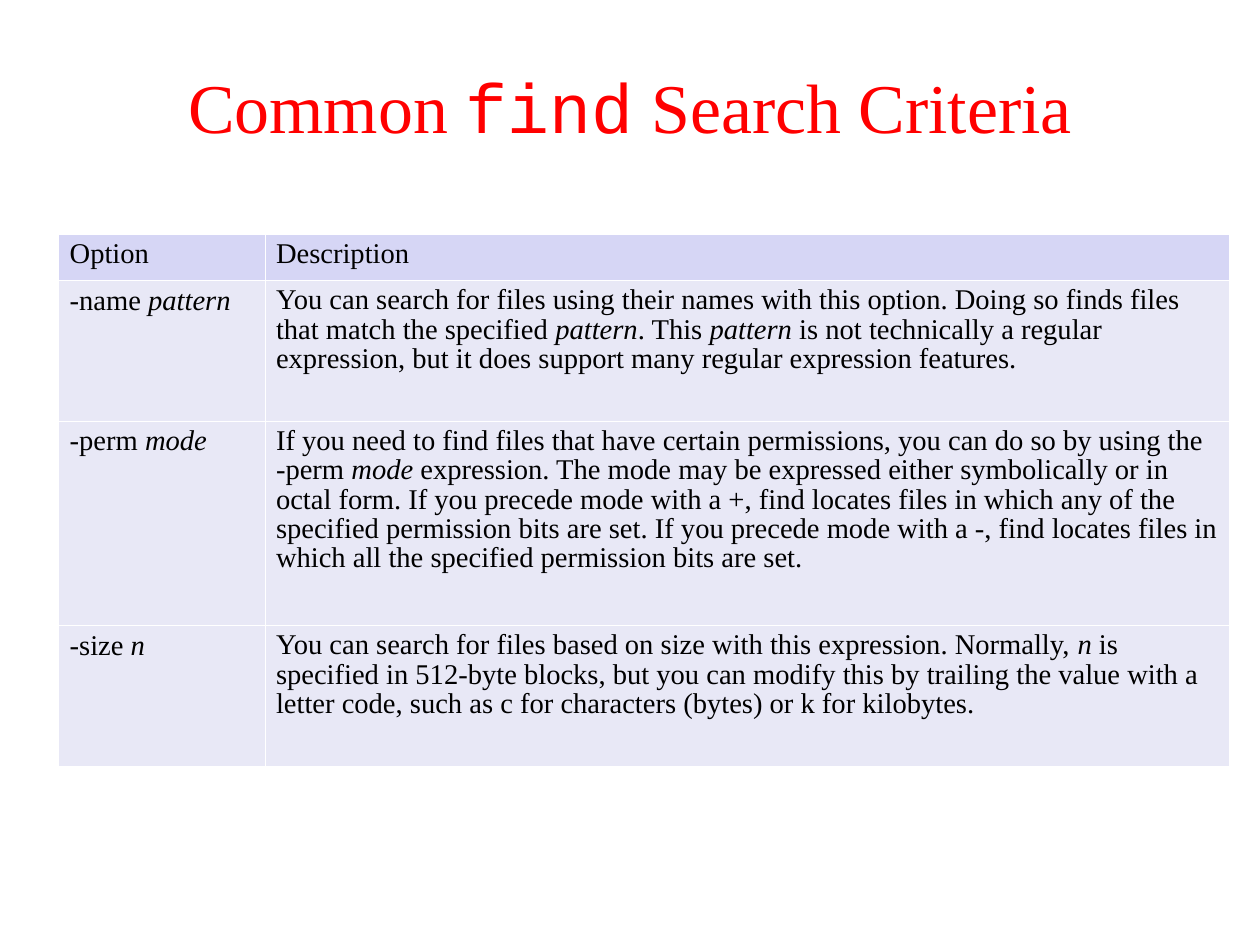
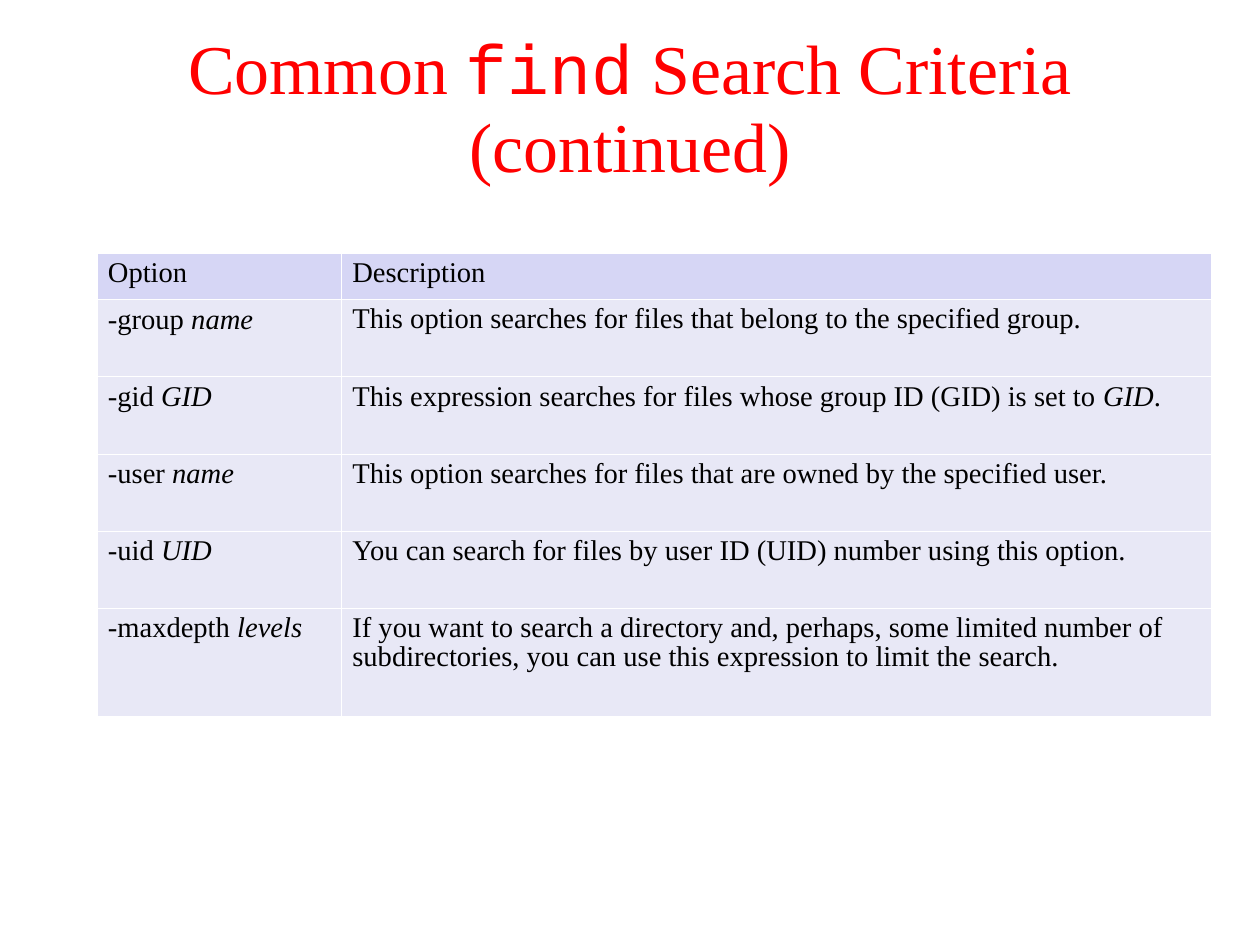
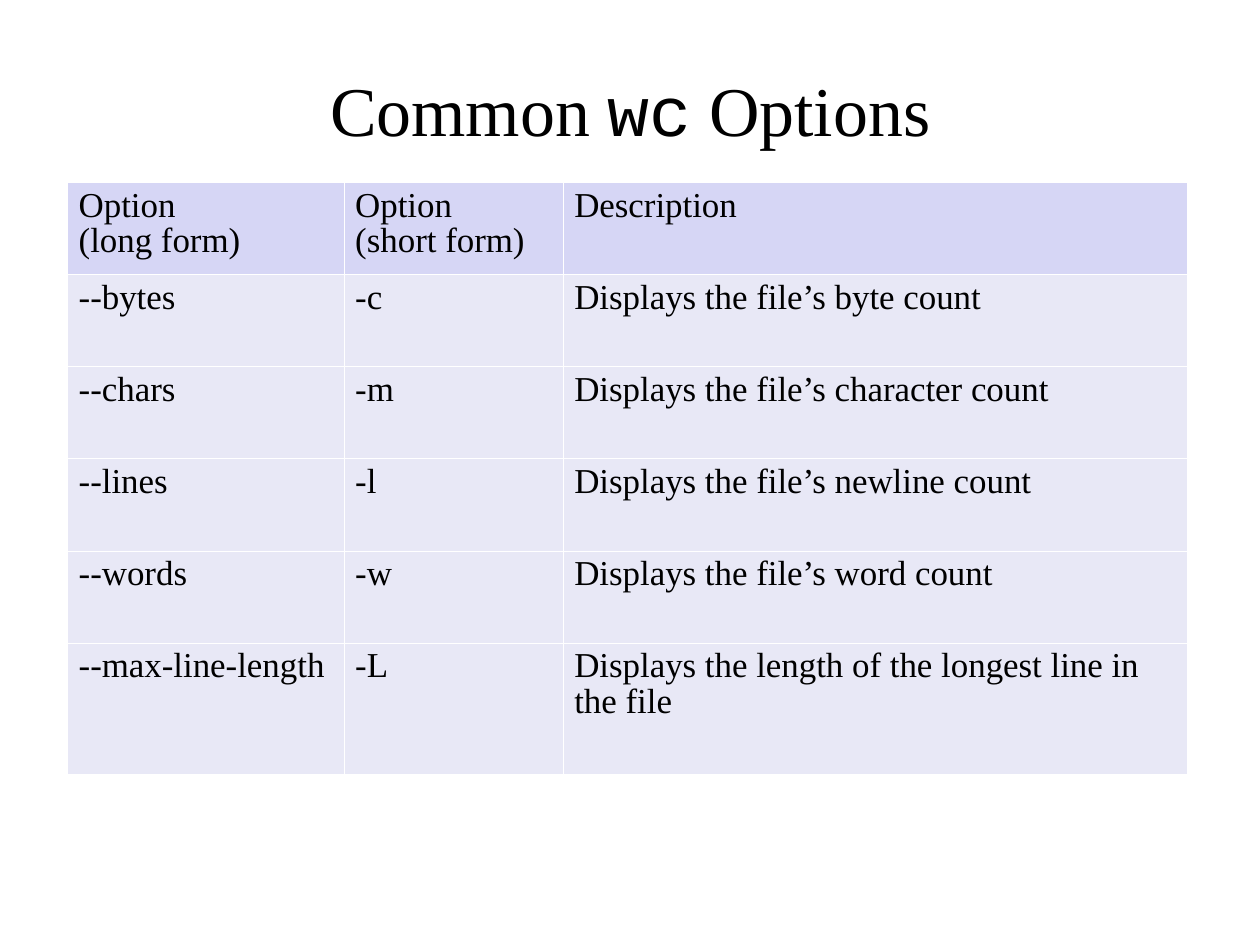
import pptx
import pptx.dml.color
import pptx.enum.text
import pptx.oxml
import pptx.oxml.ns
import pptx.util

Pt = pptx.util.Pt
COLORS = {
    "find": "FF0000",
    "text": "000000",
    "header": "D6D6F5",
    "body": "E8E8F6",
    "border": "FFFFFF",
}
BODY_FONT, CODE_FONT = "Times New Roman", "Courier New"
LINE_SPACING, OPTION_SPACING = 0.93, 0.94

FIND_HEADER = ("Option", "Description")
FIND_ROWS = [
    FIND_HEADER,
    ("-name |pattern|",
     "You can search for files using their names with this option. Doing so finds files "
     "that match the specified |pattern|. This |pattern| is not technically a regular "
     "expression, but it does support many regular expression features."),
    ("-perm |mode|",
     "If you need to find files that have certain permissions, you can do so by using the "
     "-perm |mode| expression. The mode may be expressed either symbolically or in octal "
     "form. If you precede mode with a +, find locates files in which any of the specified "
     "permission bits are set. If you precede mode with a -, find locates files in which "
     "all the specified permission bits are set."),
    ("-size |n|",
     "You can search for files based on size with this expression. Normally, |n| is "
     "specified in 512-byte blocks, but you can modify this by trailing the value with a "
     "letter code, such as c for characters (bytes) or k for kilobytes."),
]
MORE_FIND_ROWS = [
    FIND_HEADER,
    ("-group |name|", "This option searches for files that belong to the specified group."),
    ("-gid |GID|", "This expression searches for files whose group ID (GID) is set to |GID|."),
    ("-user |name|", "This option searches for files that are owned by the specified user."),
    ("-uid |UID|", "You can search for files by user ID (UID) number using this option."),
    ("-maxdepth |levels|",
     "If you want to search a directory and, perhaps, some limited number of "
     "subdirectories, you can use this expression to limit the search."),
]
WC_ROWS = [
    ("Option\n(long form)", "Option\n(short form)", "Description"),
    ("--bytes", "-c", "Displays the file’s byte count"),
    ("--chars", "-m", "Displays the file’s character count"),
    ("--lines", "-l", "Displays the file’s newline count"),
    ("--words", "-w", "Displays the file’s word count"),
    ("--max-line-length", "-L", "Displays the length of the longest line in the file"),
]


def rgb(name):
    return pptx.dml.color.RGBColor.from_string(COLORS[name])


def write(para, text, size, color, spacing, accent):
    """Fill para; parts between bars get the accent font settings."""
    para.line_spacing = spacing
    para.font.name = BODY_FONT
    para.font.size = Pt(size)
    para.font.color.rgb = rgb(color)
    for part_index, part in enumerate(text.split("|")):
        for line_index, line in enumerate(part.split("\n")):
            if line_index:
                para.add_line_break()
            if line:
                span = para.add_run()
                span.text = line
                if part_index % 2:
                    for setting, value in accent.items():
                        setattr(span.font, setting, value)


def add_title(page, text, color, top):
    box = page.shapes.add_textbox(Pt(58.3), Pt(top), Pt(677.5), Pt(52))
    frame = box.text_frame
    frame.word_wrap = True
    frame.vertical_anchor = pptx.enum.text.MSO_ANCHOR.MIDDLE
    frame.margin_left = frame.margin_right = frame.margin_bottom = 0
    frame.margin_top = Pt(2.8)
    para = frame.paragraphs[0]
    para.alignment = pptx.enum.text.PP_ALIGN.CENTER
    write(para, text, 44, color, LINE_SPACING, {"name": CODE_FONT})


def add_borders(cell):
    properties = cell._tc.get_or_add_tcPr()
    for side in ("lnL", "lnR", "lnT", "lnB"):
        properties.append(pptx.oxml.parse_xml(
            f'<a:{side} {pptx.oxml.ns.nsdecls("a")} w="{Pt(0.45)}"><a:solidFill>'
            f'<a:srgbClr val="{COLORS["border"]}"/></a:solidFill></a:{side}>'))


def add_option_table(page, left, top, widths, heights, rows, size):
    table = page.shapes.add_table(
        len(rows), len(widths), Pt(left), Pt(top), Pt(sum(widths)), Pt(sum(heights))).table
    table.first_row = table.horz_banding = False
    for column, width in zip(table.columns, widths):
        column.width = Pt(width)
    for row_index, (texts, height) in enumerate(zip(rows, heights)):
        table.rows[row_index].height = Pt(height)
        for column_index, text in enumerate(texts):
            cell = table.cell(row_index, column_index)
            cell.margin_left = cell.margin_right = Pt(7)
            cell.margin_top = cell.margin_bottom = Pt(3.6)
            add_borders(cell)
            cell.fill.solid()
            cell.fill.fore_color.rgb = rgb("body" if row_index else "header")
            is_option = row_index > 0 and column_index < len(widths) - 1
            write(cell.text_frame.paragraphs[0], text, size, "text",
                  OPTION_SPACING if is_option else LINE_SPACING, {"italic": True})


def main():
    deck = pptx.Presentation()
    deck.slide_width, deck.slide_height = Pt(793.7), Pt(595.3)
    blank = deck.slide_layouts[6]

    page = deck.slides.add_slide(blank)
    add_title(page, "Common |find| Search Criteria", "find", 41.8)
    add_option_table(page, 36.9, 147.8, [130, 607.5], [29, 88.4, 129, 88.4], FIND_ROWS, 18)

    page = deck.slides.add_slide(blank)
    add_title(page, "Common |find| Search Criteria\n(continued)", "find", 41.8)
    add_option_table(page, 61, 159.8, [154, 548], [29] + [48.6] * 4 + [68.4],
                     MORE_FIND_ROWS, 18)

    page = deck.slides.add_slide(blank)
    add_title(page, "Common |wc| Options", "text", 44)
    add_option_table(page, 42.6, 115, [174.2, 138, 393], [58] * 5 + [82.5], WC_ROWS, 22)

    deck.save("out.pptx")


if __name__ == "__main__":
    main()
